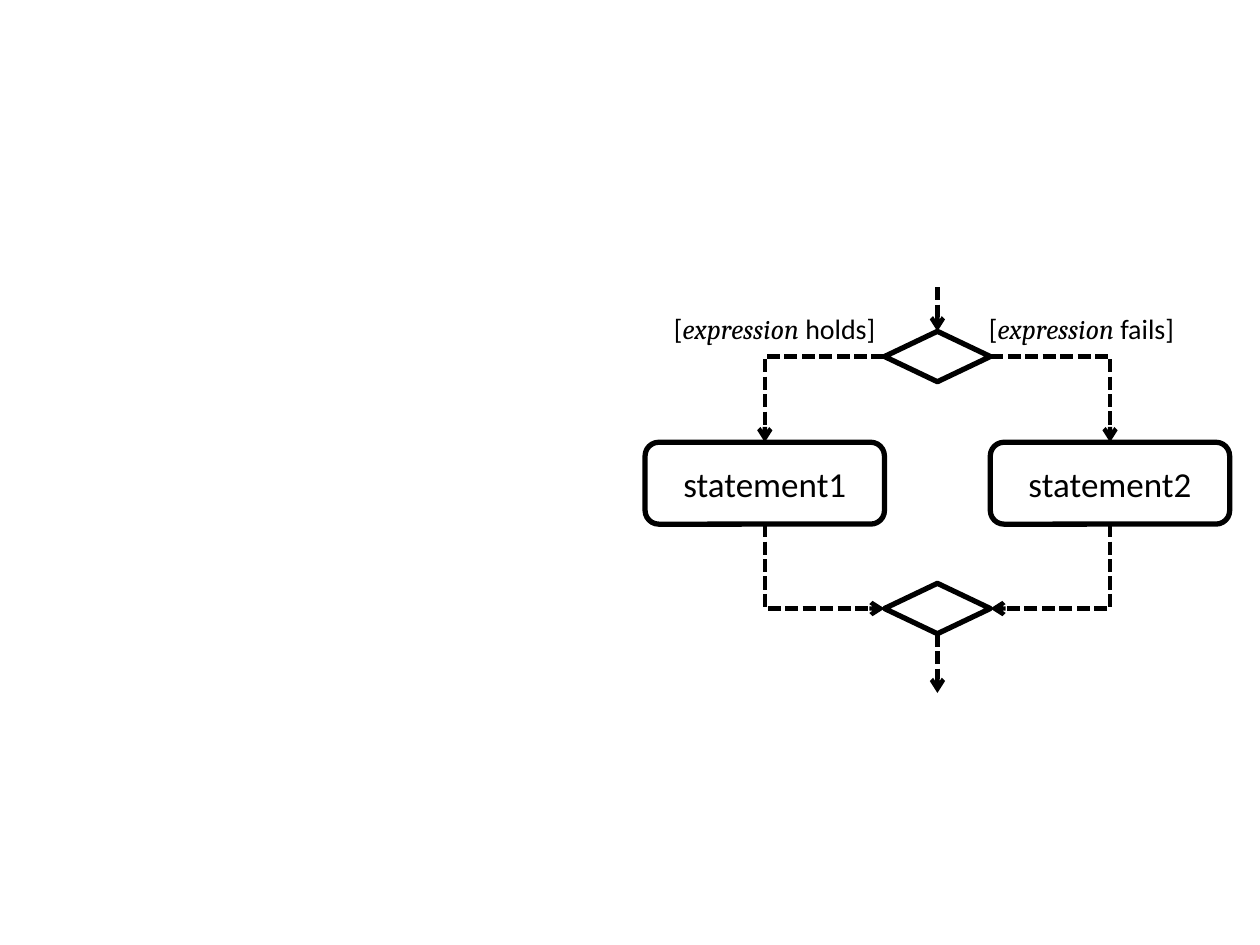
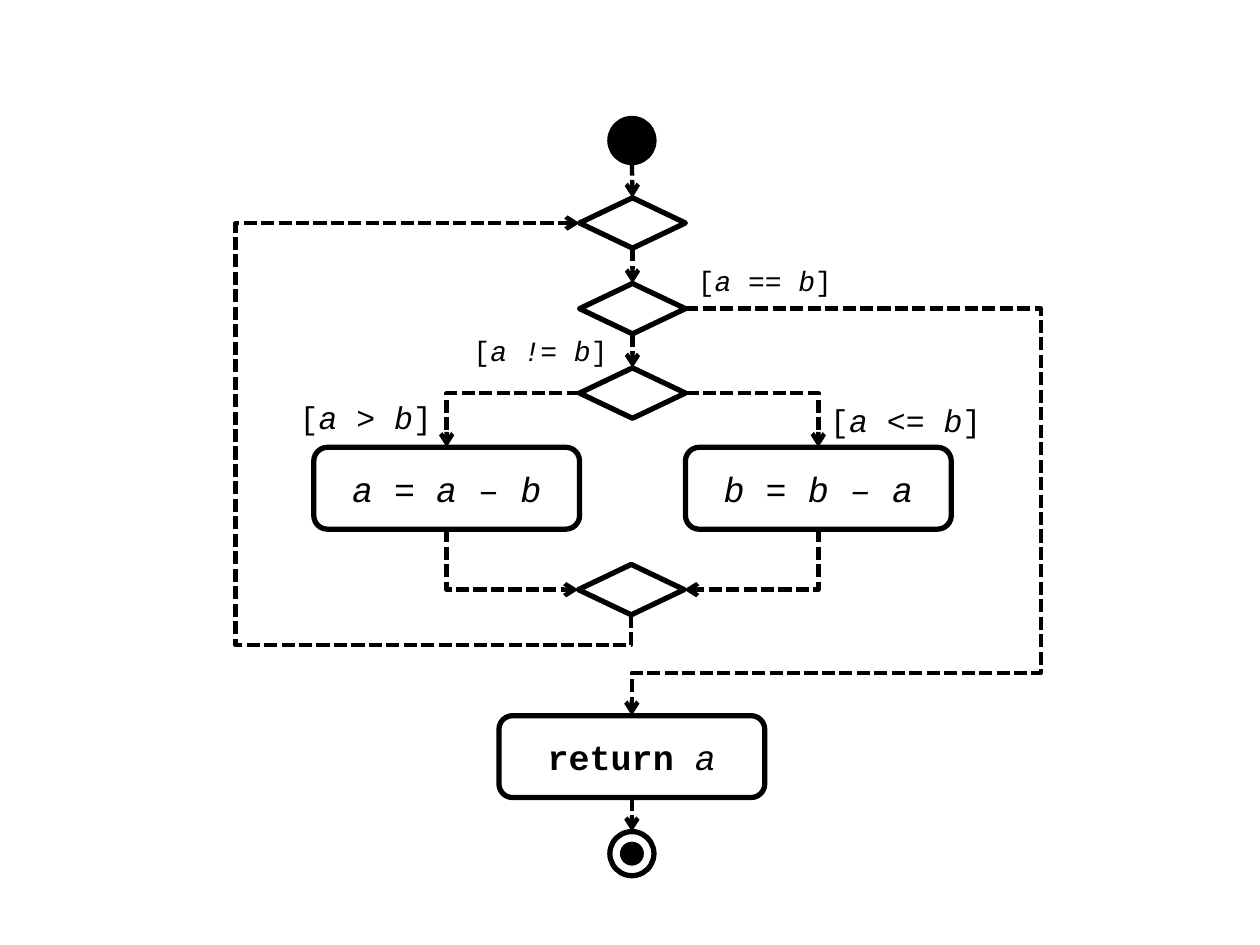
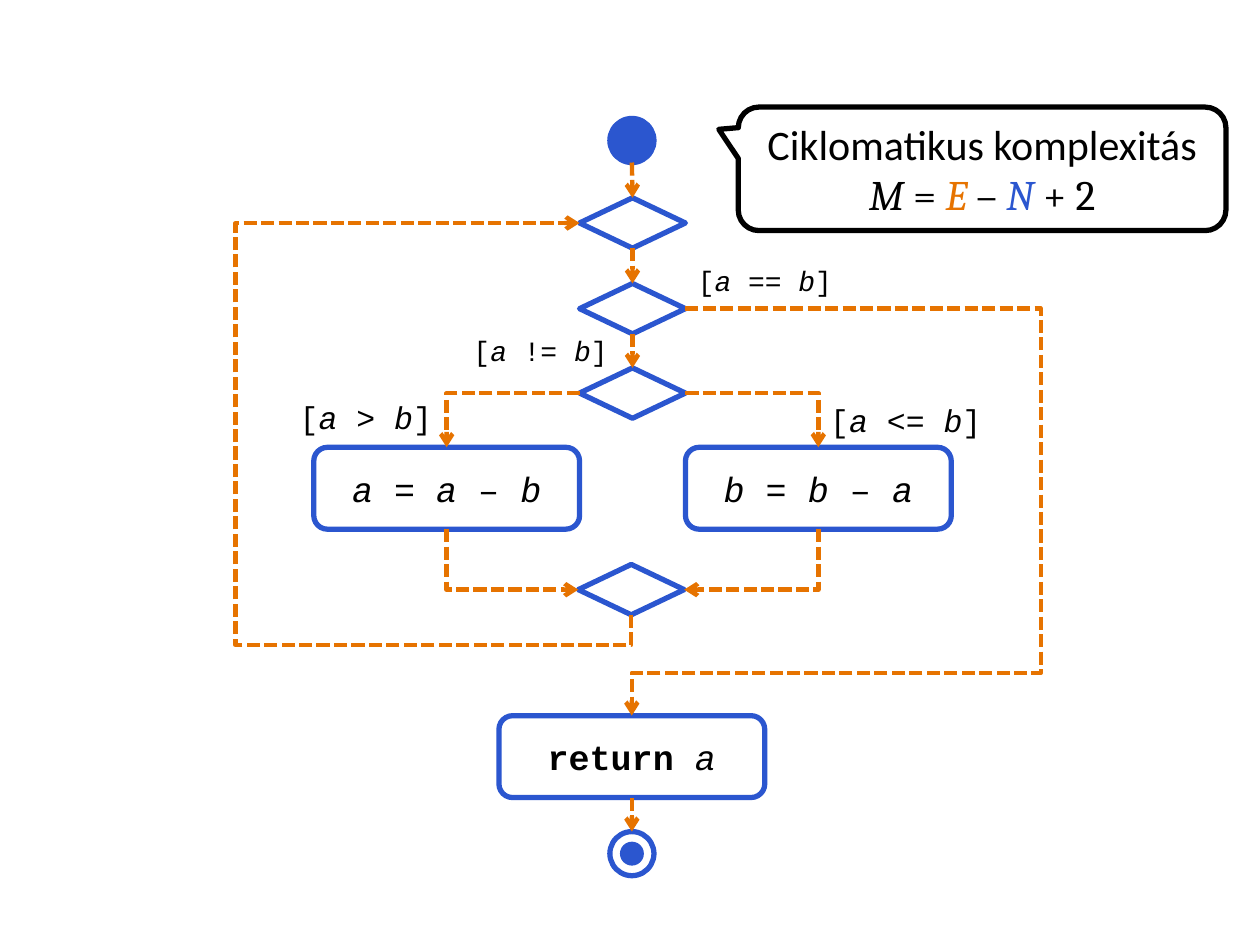
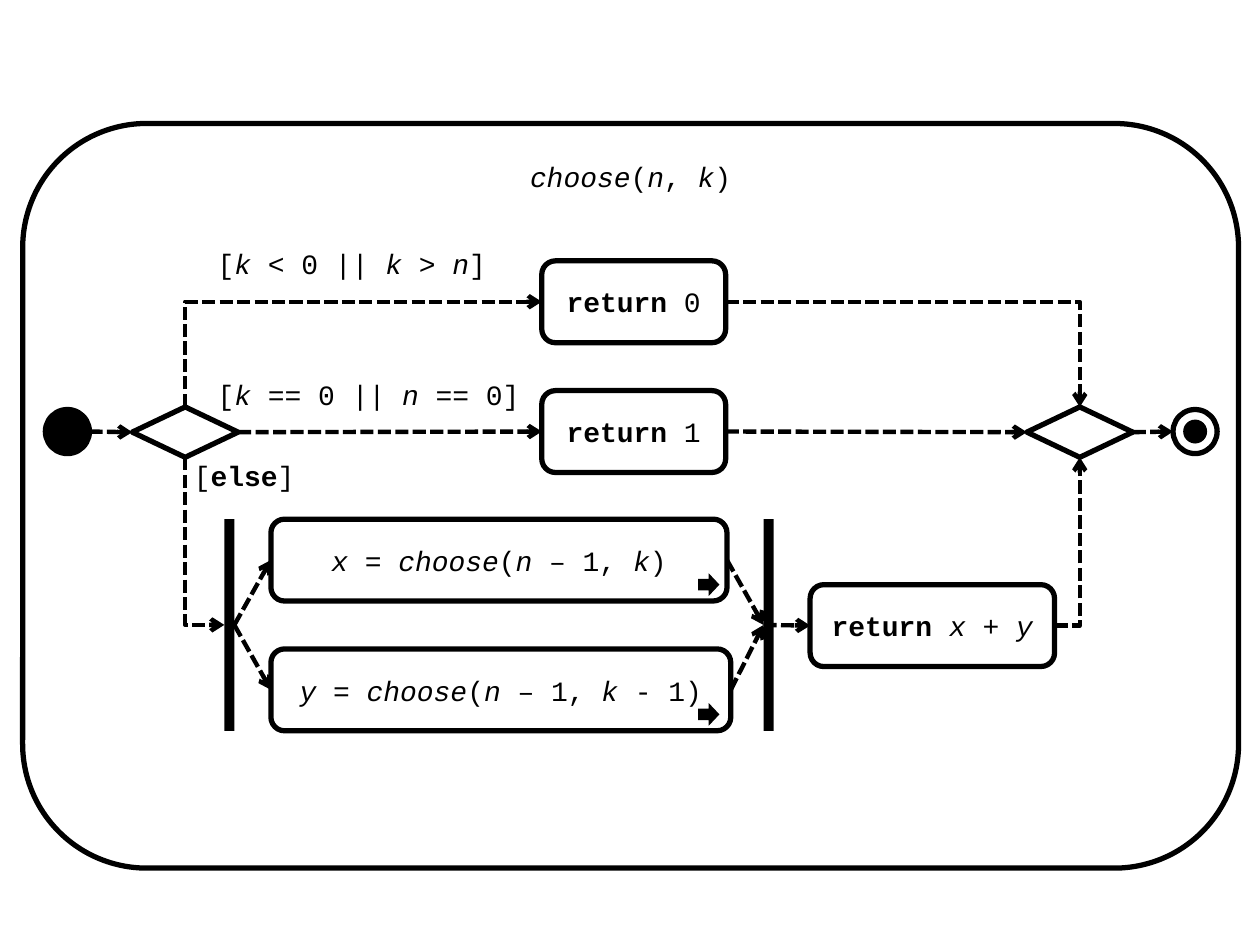
from pptx import Presentation
from pptx.dml.color import RGBColor
from pptx.enum.dml import MSO_LINE
from pptx.enum.shapes import MSO_CONNECTOR, MSO_SHAPE
from pptx.enum.text import MSO_ANCHOR, MSO_AUTO_SIZE, PP_ALIGN
from pptx.oxml.ns import qn
from pptx.util import Inches, Pt
from lxml.etree import SubElement

BLACK, BLUE, ORANGE = "000000", "2B56CF", "E67300"
CODE, SANS, SERIF = "Courier New", "Calibri", "Cambria"
TOP, LEFT, BOTTOM, RIGHT = range(4)
WIDE, HIGH = 0.84, 0.4
TALL = 0.65


def color(code):
    return RGBColor.from_string(code)


def spot(end):
    shape, side = end
    if not hasattr(shape, "left"):
        return Inches(shape), Inches(side)
    across, down = {TOP: (1, 0), LEFT: (0, 1), BOTTOM: (1, 2), RIGHT: (2, 1)}[side]
    return shape.left + shape.width * across // 2, shape.top + shape.height * down // 2


class Chart:
    def __init__(self, deck):
        self.deck = deck

    def page(self, font=CODE, size=16, node=BLACK, edge=BLACK):
        self.slide = self.deck.slides.add_slide(self.deck.slide_layouts[6])
        self.font, self.size, self.ink, self.edge = font, size, node, edge

    def say(self, para, text, size=None, font=None, slant=None, tints=None):
        font = font or self.font
        for i, part in enumerate(text.split("*")):
            for j, words in enumerate(part.split("_")):
                if not words:
                    continue
                run = para.add_run()
                run.text = words
                look = {
                    "name": (slant or font) if j % 2 else font,
                    "size": Pt(size or self.size),
                    "bold": bool(i % 2),
                    "italic": bool(j % 2),
                }
                for name, value in look.items():
                    setattr(run.font, name, value)
                run.font.color.rgb = color((tints or {}).get(words.strip(), BLACK))

    def node(self, kind, x, y, w, h, text="", fill=False, edge=True, home=None, **look):
        shape = (home or self.slide).shapes.add_shape(kind, *map(Inches, (x, y, w, h)))
        shape.shadow.inherit = False
        if fill:
            shape.fill.solid()
            shape.fill.fore_color.rgb = color(self.ink)
        else:
            shape.fill.background()
        if edge:
            shape.line.color.rgb = color(self.ink)
            shape.line.width = Pt(3)
        else:
            shape.line.fill.background()
        if text:
            para = shape.text_frame.paragraphs[0]
            para.alignment = PP_ALIGN.CENTER
            self.say(para, text, **look)
        return shape

    def box(self, x, y, w, text, **look):
        return self.node(MSO_SHAPE.ROUNDED_RECTANGLE, x, y, w, TALL, text, **look)

    def gem(self, x, y):
        return self.node(MSO_SHAPE.DIAMOND, x, y, WIDE, HIGH)

    def start(self, x, y):
        return self.node(MSO_SHAPE.OVAL, x, y, 0.35, 0.35, fill=True)

    def stop(self, x, y):
        group = self.slide.shapes.add_group_shape()
        self.node(MSO_SHAPE.OVAL, x + 0.08, y + 0.08, 0.19, 0.19, fill=True, edge=False, home=group)
        return self.node(MSO_SHAPE.OVAL, x, y, 0.35, 0.35, home=group)

    def label(self, x, y, w, text, wrap=True, size=16, **look):
        height = 0.37 if size == 16 else 0.4
        frame = self.slide.shapes.add_textbox(*map(Inches, (x, y, w, height))).text_frame
        frame.word_wrap = wrap
        frame.auto_size = MSO_AUTO_SIZE.SHAPE_TO_FIT_TEXT
        self.say(frame.paragraphs[0], text, size=size, **look)

    def link(self, kind, *ends):
        link = self.slide.shapes.add_connector(kind, *ends)
        for name, value in {"width": Pt(2.5), "dash_style": MSO_LINE.SQUARE_DOT}.items():
            setattr(link.line, name, value)
        link.line.color.rgb = color(self.edge)
        props = link._element.spPr
        SubElement(props.find(qn("a:ln")), qn("a:tailEnd"), type="arrow")
        SubElement(props, qn("a:effectLst"))
        return link

    def line(self, begin, end):
        link = self.link(MSO_CONNECTOR.STRAIGHT, *spot(begin), *spot(end))
        for glue, (shape, side) in ((link.begin_connect, begin), (link.end_connect, end)):
            if hasattr(shape, "left") and shape.auto_shape_type != MSO_SHAPE.OVAL:
                glue(shape, side)

    def bend(self, begin, end, corner=None):
        (x1, y1), (x2, y2) = spot(begin), spot(end)
        dx, dy = x2 - x1, y2 - y1
        w, h = abs(dx), abs(dy)
        upright = begin[1] in (TOP, BOTTOM)
        if upright:
            w, h = h, w
            turn = 270 if dx > 0 and dy > 0 else 90
            flips = dx > 0 or dy < 0, dx > 0 and dy < 0
        else:
            turn = 180 if dx < 0 and not corner else 0
            flips = dx < 0 and bool(corner), (dy < 0) != (turn == 180)
        left, top = (x1 + x2 - w) // 2, (y1 + y2 - h) // 2
        props = self.link(MSO_CONNECTOR.ELBOW, left, top, left + w, top + h)._element.spPr
        frame = props.find(qn("a:xfrm"))
        frame.set("rot", str(turn * 60000))
        for name, flip in zip(("flipH", "flipV"), flips):
            frame.set(name, str(int(flip)))
        shape = props.find(qn("a:prstGeom"))
        shape.set("prst", "bentConnector4" if corner else "bentConnector2")
        if corner:
            mx, my = map(Inches, corner)
            shares = [(mx - x1) / dx, (my - y1) / dy]
            values = shape.find(qn("a:avLst"))
            for i, share in enumerate(reversed(shares) if upright else shares, 1):
                SubElement(values, qn("a:gd"), name=f"adj{i}", fmla=f"val {round(share * 100000)}")


def branch(art):
    art.page(font=SANS, size=20)
    split, merge = (art.gem(7.02, y) for y in (2.63, 4.63))
    art.line((7.44, 2.28), (split, TOP))
    art.line((merge, BOTTOM), (7.44, 5.5))
    for x, text, side in ((5.12, "statement1", LEFT), (7.86, "statement2", RIGHT)):
        step = art.box(x, 3.51, 1.9, text)
        art.bend((split, side), (step, TOP))
        art.bend((step, BOTTOM), (merge, side))
    for x, word in ((7.75, "fails"), (5.25, "holds")):
        art.label(x, 2.42, 1.85, f"[_expression _{word}]", slant=SERIF)


def loop(art, unlike, **tints):
    art.page(size=20, **tints)
    start, stop = art.start(4.84, 0.94), art.stop(4.84, 6.6)
    back, test, pick = (art.gem(4.6, y) for y in (1.57, 2.25, 2.92))
    merge = art.gem(4.59, 4.48)
    done = art.box(3.96, 5.68, 2.11, "*return *_a_")
    chain = (start, back, test, pick)
    for above, below in (*zip(chain, chain[1:]), (done, stop)):
        art.line((above, BOTTOM), (below, TOP))
    for x, text, side in ((2.49, "_a _= _a _– _b_", LEFT), (5.44, "_b_ = _b_ – _a_", RIGHT)):
        step = art.box(x, 3.55, 2.11, text)
        art.bend((pick, side), (step, TOP))
        art.bend((step, BOTTOM), (merge, side))
    art.bend((test, RIGHT), (done, TOP), (8.26, 5.34))
    art.bend((merge, BOTTOM), (back, LEFT), (1.87, 5.12))
    art.label(5.44, 2.04, 1.39, "[_a_ == _b_]")
    art.label(3.66, 2.6, 1.34, unlike)
    art.label(2.28, 3.11, 1.26, "[_a _> _b_]", wrap=False, size=18)
    art.label(6.49, 3.13, 1.41, "[_a _<= _b_]", wrap=False, size=18)


def metric(art):
    loop(art, "[_a_ != _b_]", node=BLUE, edge=ORANGE)
    art.ink = BLACK
    note = art.node(MSO_SHAPE.ROUNDED_RECTANGULAR_CALLOUT, 5.86, 0.85, 3.87, 0.98,
                    "Ciklomatikus komplexitás", size=24, font=SANS)
    note.adjustments[0], note.adjustments[1] = -0.54, -0.32
    para = note.text_frame.paragraphs[0]
    para.add_line_break()
    art.say(para, "_M_ = _E _– _N _+ 2", size=24, font=SERIF, tints={"E": ORANGE, "N": BLUE})


def choose(art):
    art.page()
    panel = art.node(MSO_SHAPE.ROUNDED_RECTANGLE, 0.18, 0.98, 9.65, 5.91, "_choose_(_n_, _k_)")
    frame = panel.text_frame
    frame.vertical_anchor = MSO_ANCHOR.TOP
    frame.margin_top = frame.margin_bottom = 0
    start, stop = art.start(0.36, 3.25), art.stop(9.31, 3.25)
    split, merge = (art.gem(x, 3.23) for x in (1.05, 8.15))
    zero = art.box(4.3, 2.07, 1.46, "*return* 0")
    one = art.box(4.3, 3.1, 1.46, "*return *1")
    total = art.box(6.43, 4.64, 1.94, "*return*_ x_ + _y_")
    fork, sync = (art.node(MSO_SHAPE.RECTANGLE, x, 4.12, 0.08, 1.68, fill=True, edge=False)
                  for x in (1.78, 6.06))
    art.bend((split, TOP), (zero, LEFT))
    art.bend((zero, RIGHT), (merge, TOP))
    art.bend((split, BOTTOM), (fork, LEFT))
    art.bend((total, RIGHT), (merge, BOTTOM))
    row = (start, split, one, merge, stop)
    for near, far in zip(row, row[1:]):
        art.line((near, RIGHT), (far, LEFT))
    calls = ((4.12, 3.62, "_x = choose_(_n_ – 1, _k_)"), (5.15, 3.65, "_y = choose_(_n_ – 1, _k_ - 1)"))
    for y, w, text in calls:
        call = art.box(2.15, y, w, text)
        art.line((fork, RIGHT), (call, LEFT))
        art.line((call, RIGHT), (sync, LEFT))
        art.node(MSO_SHAPE.RIGHT_ARROW, 5.54, y + 0.43, 0.17, 0.18, fill=True, edge=False)
    art.line((sync, LEFT), (total, LEFT))
    art.label(1.63, 1.91, 2.47, "[_k_ < 0 || _k_ > _n_]")
    art.label(1.63, 2.95, 2.66, "[_k_ == 0 || _n_ == 0]")
    art.label(1.44, 3.59, 2.66, "[*else*]")


def main():
    deck = Presentation()
    deck.slide_width, deck.slide_height = Inches(10), Inches(7.5)
    art = Chart(deck)
    branch(art)
    loop(art, "[_a != b_]")
    metric(art)
    choose(art)
    deck.save("out.pptx")


if __name__ == "__main__":
    main()
